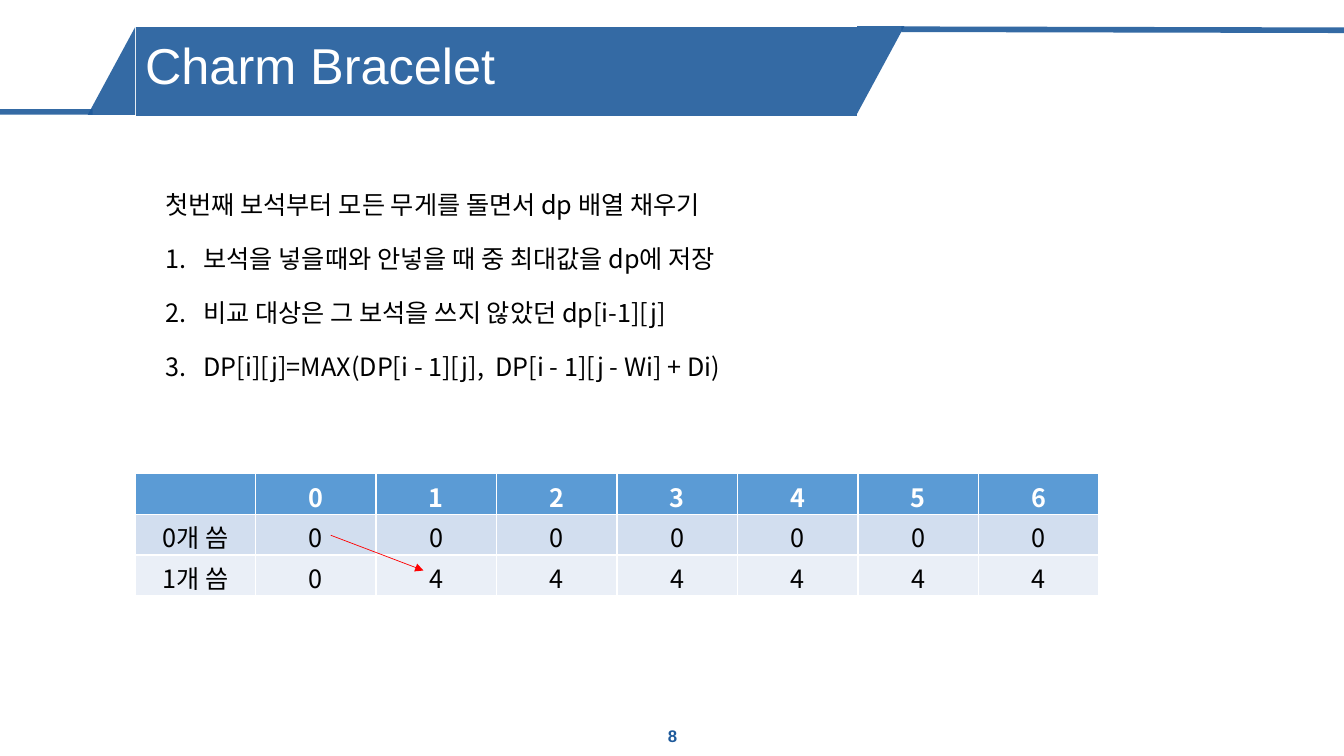
from lxml.etree import SubElement
from pptx import Presentation
from pptx.dml.color import RGBColor
from pptx.enum.shapes import MSO_CONNECTOR, MSO_SHAPE
from pptx.enum.text import MSO_ANCHOR, PP_ALIGN
from pptx.oxml.ns import qn
from pptx.util import Pt

PX = 9144  # 100 px to the inch
COLORS = {"banner": "1E5A9B", "white": "FFFFFF", "black": "000000", "arrow": "FF0000",
          "header": "5B9BD5", "row_odd": "D2DEEF", "row_even": "EAEFF7"}
KOREAN_FONT = "Noto Sans CJK KR"


def style_text(paragraph, size, font_name, color, bold=False):
    font = paragraph.font
    font.size, font.name, font.bold = Pt(size), font_name, bold
    font.color.rgb = RGBColor.from_string(COLORS[color])


def add_line(start, end, color, width):
    """Draw a straight line without a shadow and return it."""
    line = slide.shapes.add_connector(MSO_CONNECTOR.STRAIGHT, *[v * PX for v in start + end])
    line.line.color.rgb = RGBColor.from_string(COLORS[color])
    line.line.width = Pt(width)
    SubElement(line.element.spPr, qn("a:effectLst"))
    return line


presentation = Presentation()
presentation.slide_width, presentation.slide_height = 1333 * PX, 750 * PX
slide = presentation.slides.add_slide(presentation.slide_layouts[6])

# Title banner
banner_parts = [add_line((92, 111), (-3, 111), "banner", 4),
                add_line((1333, 30), (894, 29), "banner", 4)]
for kind, left, top, width, height, rotation in [
        (MSO_SHAPE.RIGHT_TRIANGLE, 830, 46, 87, 47, 90),
        (MSO_SHAPE.RIGHT_TRIANGLE, 67, 47, 87, 47, 270),
        (MSO_SHAPE.RECTANGLE, 135, 27, 715, 88, 0)]:
    shape = slide.shapes.add_shape(kind, left * PX, top * PX, width * PX, height * PX)
    shape.rotation = rotation
    shape.shadow.inherit = False
    shape.fill.solid()
    shape.fill.fore_color.rgb = RGBColor.from_string(COLORS["banner"])
    shape.line.fill.background()
    banner_parts.append(shape)
for part in banner_parts:
    color = part.element.spPr.find(".//" + qn("a:srgbClr"))
    SubElement(color, qn("a:alpha"), val="90000")

# Title and page number
for text, left, top, width, height, size, color, bold, alignment, spacing in [
        ("8", 517, 710, 300, 40, 12, "banner", True, PP_ALIGN.CENTER, 1.0),
        ("Charm Bracelet", 134, 27, 715, 81, 36, "white", False, PP_ALIGN.LEFT, 0.9)]:
    box = slide.shapes.add_textbox(left * PX, top * PX, width * PX, height * PX)
    box.text_frame.word_wrap = True
    box.text_frame.vertical_anchor = MSO_ANCHOR.MIDDLE
    paragraph = box.text_frame.paragraphs[0]
    paragraph.text = text
    paragraph.alignment, paragraph.line_spacing = alignment, spacing
    style_text(paragraph, size, "Arial", color, bold)

# Explanation: an opening line and numbered steps
explanation = [
    "첫번째 보석부터 모든 무게를 돌면서 dp 배열 채우기",
    "보석을 넣을때와 안넣을 때 중 최대값을 dp에 저장",
    "비교 대상은 그 보석을 쓰지 않았던 dp[i-1][j]",
    "DP[i][j]=MAX(DP[i - 1][j],  DP[i - 1][j - Wi] + Di)",
]
box = slide.shapes.add_textbox(154 * PX, 183 * PX, 869 * PX, 222 * PX)
frame = box.text_frame
frame.word_wrap = True
for index, text in enumerate(explanation):
    paragraph = frame.add_paragraph() if index else frame.paragraphs[0]
    paragraph.text = text
    paragraph.space_after = Pt(17)
    if index:
        properties = paragraph._p.get_or_add_pPr()
        properties.set("marL", str(38 * PX))
        properties.set("indent", str(-38 * PX))
        SubElement(properties, qn("a:buFont"), typeface=KOREAN_FONT)
        SubElement(properties, qn("a:buAutoNum"), type="arabicPeriod")
    style_text(paragraph, 18, KOREAN_FONT, "black")

# Table of the dp array
rows = [
    ("header", [""] + [str(weight) for weight in range(7)]),
    ("row_odd", ["0개 씀"] + ["0"] * 7),
    ("row_even", ["1개 씀", "0"] + ["4"] * 6),
]
table = slide.shapes.add_table(3, 8, 134 * PX, 470 * PX, 956 * PX, 121 * PX).table
for row_index, (fill, texts) in enumerate(rows):
    for column_index, text in enumerate(texts):
        cell = table.cell(row_index, column_index)
        cell.fill.solid()
        cell.fill.fore_color.rgb = RGBColor.from_string(COLORS[fill])
        cell.margin_top, cell.margin_bottom = 4 * PX, 0
        paragraph = cell.text_frame.paragraphs[0]
        paragraph.text = text
        paragraph.alignment = PP_ALIGN.CENTER
        is_header = fill == "header"
        style_text(paragraph, 18, KOREAN_FONT, "white" if is_header else "black", is_header)

arrow = add_line((328, 531), (420, 566), "arrow", 0.5)
SubElement(arrow.line._get_or_add_ln(), qn("a:tailEnd"), type="triangle")

presentation.save("out.pptx")
